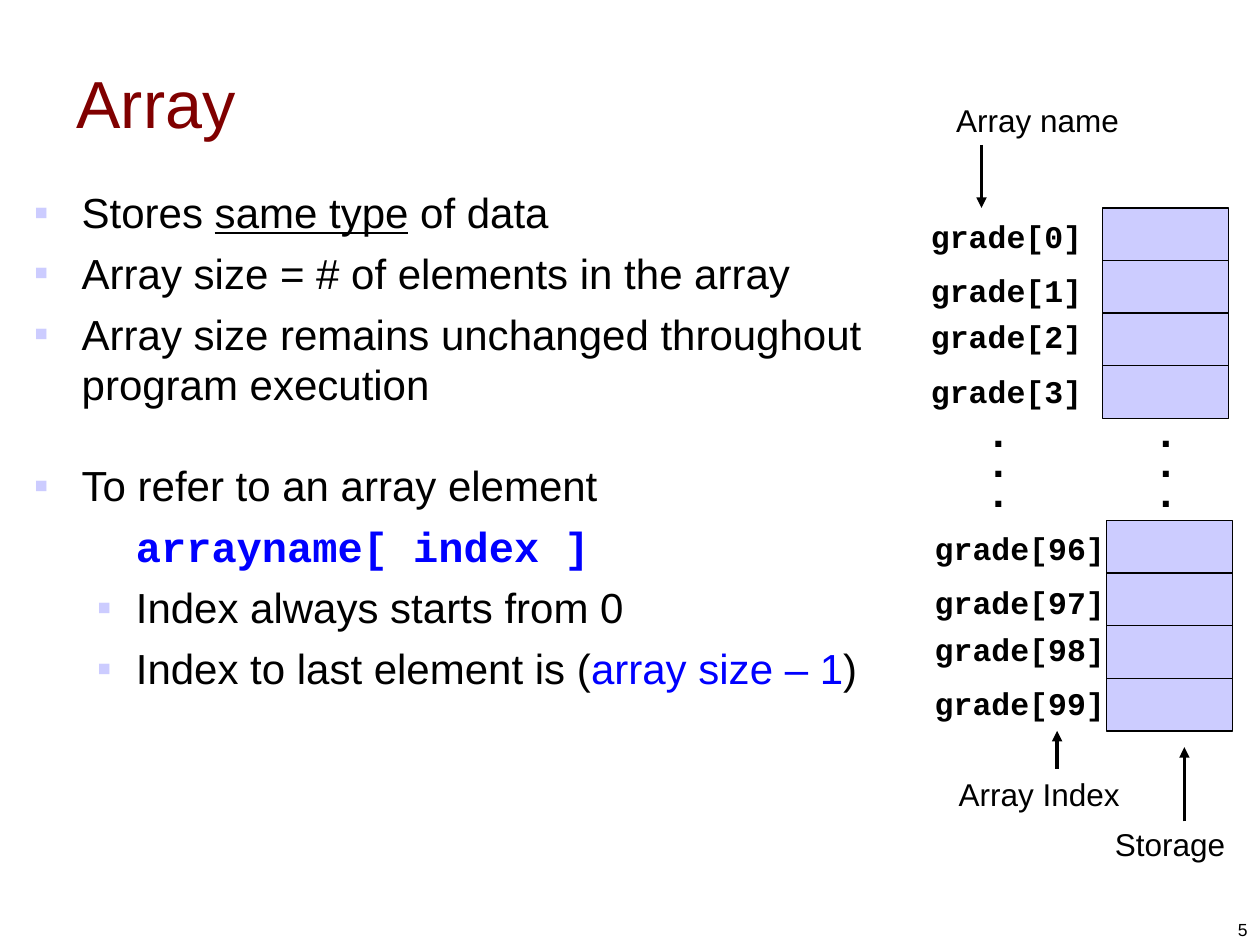
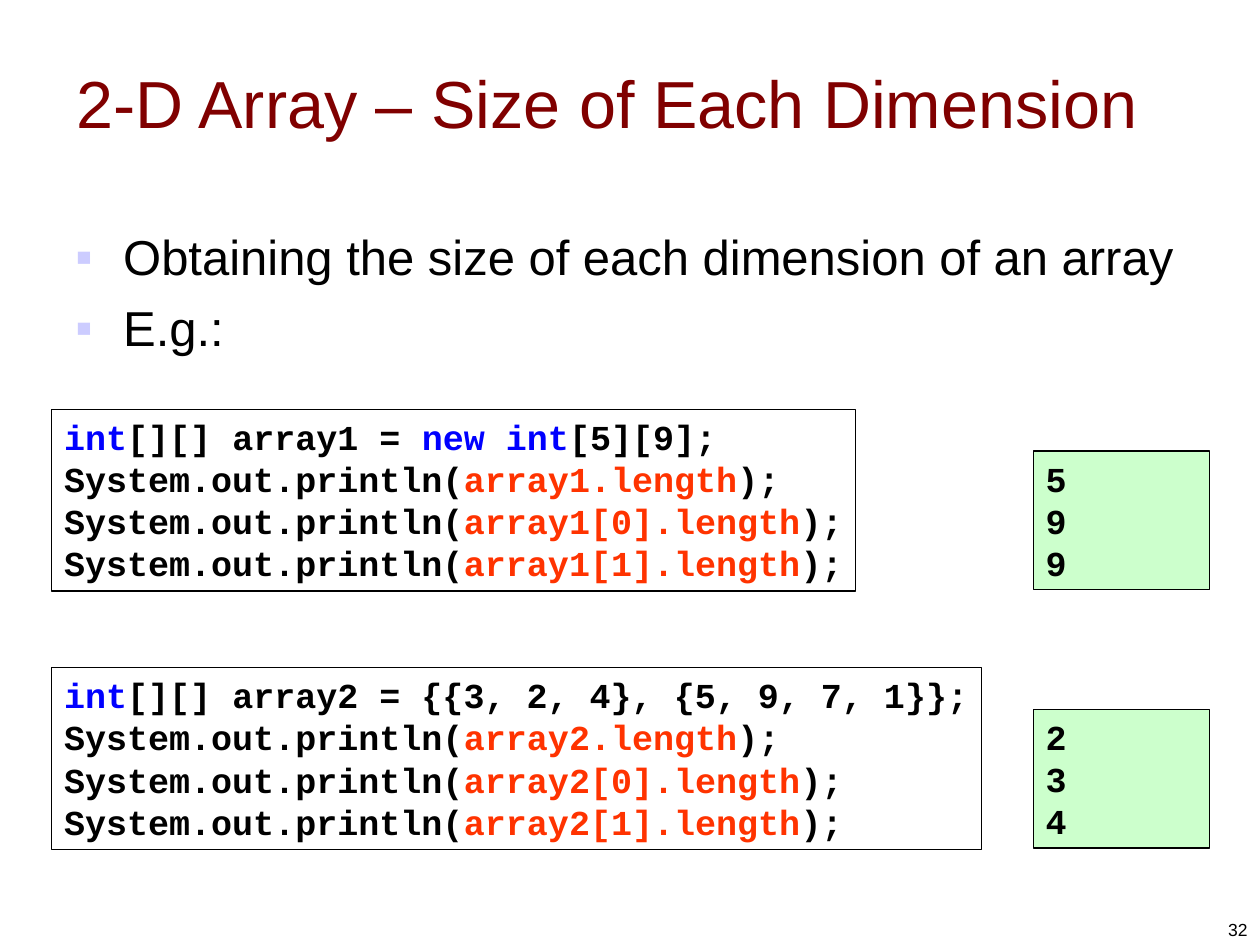
from lxml import etree
from pptx import Presentation
from pptx.dml.color import RGBColor
from pptx.enum.shapes import MSO_CONNECTOR, MSO_SHAPE
from pptx.enum.text import MSO_ANCHOR, PP_ALIGN
from pptx.oxml.ns import qn
from pptx.util import Inches, Pt

MAROON = RGBColor(0x80, 0x00, 0x00)
BLACK = RGBColor(0x00, 0x00, 0x00)
BLUE = RGBColor(0x00, 0x00, 0xFF)
ORANGE = RGBColor(0xFF, 0x33, 0x00)
LAVENDER = RGBColor(0xCC, 0xCC, 0xFF)
MINT = RGBColor(0xCC, 0xFF, 0xCC)
SANS, MONO = "Arial", "Courier New"

CELL_WIDTH, CELL_HEIGHT = 1, 0.42
CELL_PITCH = 1.67 / 4
LABEL_OFFSETS = (0.02, 0.45, 0.82, 1.25)


def write_spans(para, spans, size, font=SANS, color=BLACK, bold=False):
    """Fill a paragraph from a string or a list of strings and (text, colour) pairs."""
    if isinstance(spans, str):
        spans = [spans]
    for item in spans:
        text, tint = (item, color) if isinstance(item, str) else item
        span = para.add_run()
        span.text = text
        span.font.size = Pt(size)
        span.font.name = font
        span.font.bold = bold
        span.font.color.rgb = tint


def write_lines(frame, lines, size, **style):
    """Write one paragraph per line and return the paragraphs."""
    paras = []
    for number, spans in enumerate(lines):
        para = frame.add_paragraph() if number else frame.paragraphs[0]
        write_spans(para, spans, size, **style)
        paras.append(para)
    return paras


def add_text(page, left, top, width, height, lines, size, wrap=False,
             anchor=MSO_ANCHOR.TOP, **style):
    box = page.shapes.add_textbox(Inches(left), Inches(top), Inches(width), Inches(height))
    box.text_frame.word_wrap = wrap
    box.text_frame.vertical_anchor = anchor
    return write_lines(box.text_frame, lines, size, **style)


def add_box(page, left, top, width, height, fill=None):
    box = page.shapes.add_shape(MSO_SHAPE.RECTANGLE, Inches(left), Inches(top),
                                Inches(width), Inches(height))
    box.shadow.inherit = False
    if fill is None:
        box.fill.background()
    else:
        box.fill.solid()
        box.fill.fore_color.rgb = fill
    box.line.color.rgb = BLACK
    box.line.width = Pt(0.75)
    return box


def add_listing(page, left, top, width, height, lines, fill=None):
    """Framed monospaced text: program code or its output."""
    box = add_box(page, left, top, width, height, fill)
    frame = box.text_frame
    frame.word_wrap = fill is not None
    frame.vertical_anchor = MSO_ANCHOR.TOP
    for para in write_lines(frame, lines, 20, font=MONO, bold=True):
        para.alignment = PP_ALIGN.LEFT


def add_arrow(page, x, start, end):
    arrow = page.shapes.add_connector(MSO_CONNECTOR.STRAIGHT, Inches(x), Inches(start),
                                      Inches(x), Inches(end))
    arrow.line.color.rgb = BLACK
    arrow.line.width = Pt(2)
    etree.SubElement(arrow.line._get_or_add_ln(), qn("a:tailEnd"), type="triangle")
    etree.SubElement(arrow._element.spPr, qn("a:effectLst"))


def set_indent(para, margin, hanging=0.0, bullet=True):
    props = para._p.get_or_add_pPr()
    props.set("marL", str(Inches(margin)))
    props.set("indent", str(-Inches(hanging)))
    if bullet:
        tint = etree.SubElement(props, qn("a:buClr"))
        etree.SubElement(tint, qn("a:srgbClr"), val=str(LAVENDER))
        etree.SubElement(props, qn("a:buFont"), typeface=SANS)
        etree.SubElement(props, qn("a:buChar"), char="▪")


def add_page(deck, title, number):
    page = deck.slides.add_slide(deck.slide_layouts[6])
    add_text(page, 0.51, 0.18, 9, 1.25, [title], 38, wrap=True,
             anchor=MSO_ANCHOR.MIDDLE, color=MAROON)
    footer, = add_text(page, 7.67, 7.01, 2.33, 0.5, [str(number)], 10, wrap=True,
                       anchor=MSO_ANCHOR.BOTTOM)
    footer.alignment = PP_ALIGN.RIGHT
    return page


def add_cells(page, left, top, label_left, label_width, first_index):
    """Four stacked storage cells with their element names on the left."""
    for row, offset in enumerate(LABEL_OFFSETS):
        add_box(page, left, top + row * CELL_PITCH, CELL_WIDTH, CELL_HEIGHT, LAVENDER)
        add_text(page, label_left, top + offset, label_width, 0.4,
                 [f"grade[{first_index + row}]"], 18, font=MONO, bold=True)


def add_dots(page, left):
    for para in add_text(page, left, 3.31, 0.29, 0.82, [".", ".", "."], 24, bold=True):
        para.line_spacing = 0.6


def print_call(argument):
    return ["System.out.println(", (argument, ORANGE), ");"]


def length_example(page, top, width, name, declaration, output):
    """Code that prints the lengths of an array, beside the printed values."""
    calls = [print_call(f"{name}{part}.length") for part in ("", "[0]", "[1]")]
    add_listing(page, 0.41, top, width, 1.44, [declaration] + calls)
    add_listing(page, 8.2, top + 0.33, 1.4, 1.1, output, MINT)


def build_array_page(deck):
    page = add_page(deck, "Array", 5)
    paras = add_text(page, 0.17, 1.43, 7.12, 5.27, [
        ["Stores ", "same type", " of data"],
        "Array size = # of elements in the array",
        "Array size remains unchanged throughout program execution",
        "To refer to an array element",
        [],
        "Index always starts from 0",
        ["Index to last element is (", ("array size – 1", BLUE), ")"],
    ], 24, wrap=True)
    paras[0].runs[1].font.underline = True
    syntax, refer = paras[4], paras[3]
    write_spans(syntax, "arrayname[ index ]", 24, font=MONO, color=BLUE, bold=True)
    for para in paras[:4]:
        set_indent(para, 0.38, 0.38)
    set_indent(syntax, 0.81, bullet=False)
    for para in paras[5:]:
        set_indent(para, 0.81, 0.31)
    for para in paras[1:]:
        para.space_before = Pt(6)
    refer.space_before = Pt(29)

    add_cells(page, 8.75, 1.65, 7.29, 1.4, 0)
    add_cells(page, 8.78, 4.13, 7.32, 1.55, 96)
    for left in (7.78, 9.11):
        add_dots(page, left)

    add_text(page, 7.49, 0.75, 1.49, 0.4, ["Array name"], 18)
    add_arrow(page, 7.79, 1.15, 1.65)
    add_text(page, 7.51, 6.1, 1.48, 0.4, ["Array Index"], 18)
    add_arrow(page, 8.39, 6.1, 5.8)
    add_text(page, 8.75, 6.5, 1.13, 0.4, ["Storage"], 18, wrap=True)
    add_arrow(page, 9.4, 6.52, 5.93)


def build_dimension_page(deck):
    page = add_page(deck, "2-D Array – Size of Each Dimension", 32)
    paras = add_text(page, 0.5, 1.75, 9, 4.95, [
        "Obtaining the size of each dimension of an array",
        "E.g.:",
    ], 28, wrap=True)
    for para in paras:
        set_indent(para, 0.38, 0.38)
    paras[1].space_before = Pt(7)

    length_example(page, 3.25, 6.38, "array1",
                   [("int", BLUE), "[][] array1 = ", ("new int", BLUE), "[5][9];"],
                   ["5", "9", "9"])
    length_example(page, 5.3, 7.38, "array2",
                   [("int", BLUE), "[][] array2 = {{3, 2, 4}, {5, 9, 7, 1}};"],
                   ["2", "3", "4"])


def main():
    deck = Presentation()
    deck.slide_width, deck.slide_height = Inches(10), Inches(7.5)
    build_array_page(deck)
    build_dimension_page(deck)
    deck.save("out.pptx")


if __name__ == "__main__":
    main()
